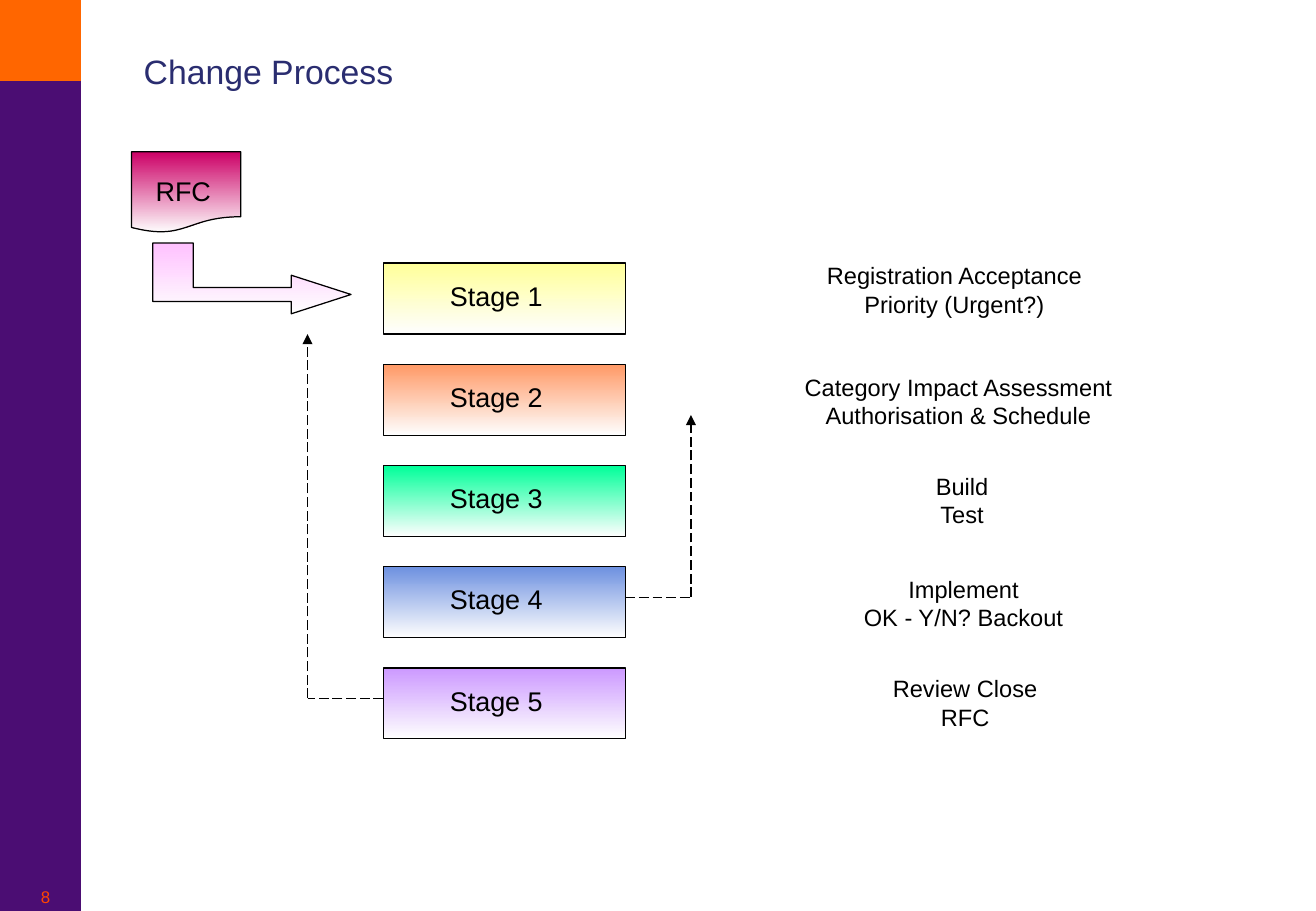
from lxml import etree
from pptx import Presentation
from pptx.dml.color import RGBColor
from pptx.enum.dml import MSO_LINE
from pptx.enum.shapes import MSO_CONNECTOR, MSO_SHAPE
from pptx.enum.text import MSO_ANCHOR, MSO_AUTO_SIZE, PP_ALIGN
from pptx.oxml.ns import qn
from pptx.util import Inches, Pt

RECT, DOC = MSO_SHAPE.RECTANGLE, MSO_SHAPE.FLOWCHART_DOCUMENT
LEFT, MID = PP_ALIGN.LEFT, PP_ALIGN.CENTER
WIDE, HIGH = 10.84, 7.5
UNIT = HIGH / 90
FONT, BLACK, PALE = "Arial", "000000", "FEFEFE"

TITLE = "Change Process"
BARS = [("4B0D73", 90), ("FF6600", 8)]
STAGES = [
    ("Stage 1", "FFFF99", ["Registration Acceptance", "Priority (Urgent?)"], (80.5, 25.2, 27.7, 6.8)),
    ("Stage 2", "FF9966", ["Category Impact Assessment Authorisation & Schedule"], (75.8, 36.2, 37.9, 6.8)),
    ("Stage 3", "00FF99", ["Build Test"], (89.4, 46, 11.4, 6.8)),
    ("Stage 4", "6E91E0", ["Implement", "OK - Y/N? Backout"], (84.2, 56.2, 22.1, 6.8)),
    ("Stage 5", "CC99FF", ["Review Close RFC"], (86.9, 66, 17, 6.8)),
]
ARROW = [(15.1, 24), (19.1, 24), (19.1, 28.4), (28.8, 28.4), (28.8, 27.2),
         (34.7, 29.1), (28.8, 31), (28.8, 29.8), (15.1, 29.8)]
BOX_X, BOX_Y, BOX_W, BOX_H, STEP = 37.9, 26, 23.9, 7, 10
LOOPS = [
    [(BOX_X + BOX_W, 59), (68.3, 59), (68.3, 41)],
    [(BOX_X, 69), (30.4, 69), (30.4, 33)],
]


def size(n):
    return Inches(n * UNIT)


def place(box):
    return [size(n) for n in box]


def tint(text):
    return RGBColor.from_string(text)


def write(frame, lines, points, color=BLACK, align=LEFT):
    for i, line in enumerate(lines):
        para = frame.paragraphs[0] if i == 0 else frame.add_paragraph()
        para.alignment = align
        run = para.add_run()
        run.text = line
        run.font.name, run.font.size = FONT, Pt(points)
        run.font.color.rgb = tint(color)


def label(slide, box, lines, points, color=BLACK, align=LEFT, wrap=False):
    frame = slide.shapes.add_textbox(*place(box)).text_frame
    frame.word_wrap = wrap
    frame.auto_size = MSO_AUTO_SIZE.NONE
    write(frame, lines, points, color, align)


def shade(shape, color):
    shape.shadow.inherit = False
    shape.fill.gradient()
    shape.fill.gradient_angle = 270
    for stop, hue in zip(shape.fill.gradient_stops, (color, PALE)):
        stop.color.rgb = tint(hue)
    shape.line.color.rgb = tint(BLACK)
    shape.line.width = Pt(0.75)


def link(slide, start, end, head):
    wire = slide.shapes.add_connector(MSO_CONNECTOR.STRAIGHT, *place(start + end))
    wire.line.color.rgb = tint(BLACK)
    wire.line.width = Pt(0.75)
    wire.line.dash_style = MSO_LINE.LONG_DASH
    if head:
        etree.SubElement(wire.line._get_or_add_ln(), qn("a:tailEnd"), type="triangle")
    etree.SubElement(wire._element.spPr, qn("a:effectLst"))


def main():
    """Build the change process slide."""
    deck = Presentation()
    deck.slide_width, deck.slide_height = Inches(WIDE), Inches(HIGH)
    slide = deck.slides.add_slide(deck.slide_layouts[5])
    shapes = slide.shapes

    title = shapes.title
    title.left, title.top, title.width, title.height = place((13, 4, 110.5, 6))
    title.text_frame.vertical_anchor = MSO_ANCHOR.MIDDLE
    write(title.text_frame, [TITLE], 20, "2A2D70")

    for color, high in BARS:
        bar = shapes.add_shape(RECT, *place((0, 0, 8, high)))
        bar.shadow.inherit = False
        bar.fill.solid()
        bar.fill.fore_color.rgb = tint(color)
        bar.line.fill.background()

    shade(shapes.add_shape(DOC, *place((13, 15, 10.8, 8))), "CC0066")
    label(slide, (14.2, 16.7, 7.8, 4.4), ["RFC"], 16)

    for i, (name, color, notes, area) in enumerate(STAGES):
        top = BOX_Y + i * STEP
        shade(shapes.add_shape(RECT, *place((BOX_X, top, BOX_W, BOX_H))), color)
        label(slide, (43.3, top + 1, 11.5, 4.4), [name], 16)
        label(slide, area, notes, 14, align=MID, wrap=len(notes) == 1)

    points = [tuple(place(spot)) for spot in ARROW]
    pen = shapes.build_freeform(*points[0])
    pen.add_line_segments(points[1:], close=True)
    shade(pen.convert_to_shape(), "FFC1FF")

    for start, bend, end in LOOPS:
        link(slide, start, bend, False)
        link(slide, bend, end, True)

    label(slide, (0, 87, 9, 3), ["8"], 10, "FF4600", MID, True)
    deck.save("out.pptx")


if __name__ == "__main__":
    main()
